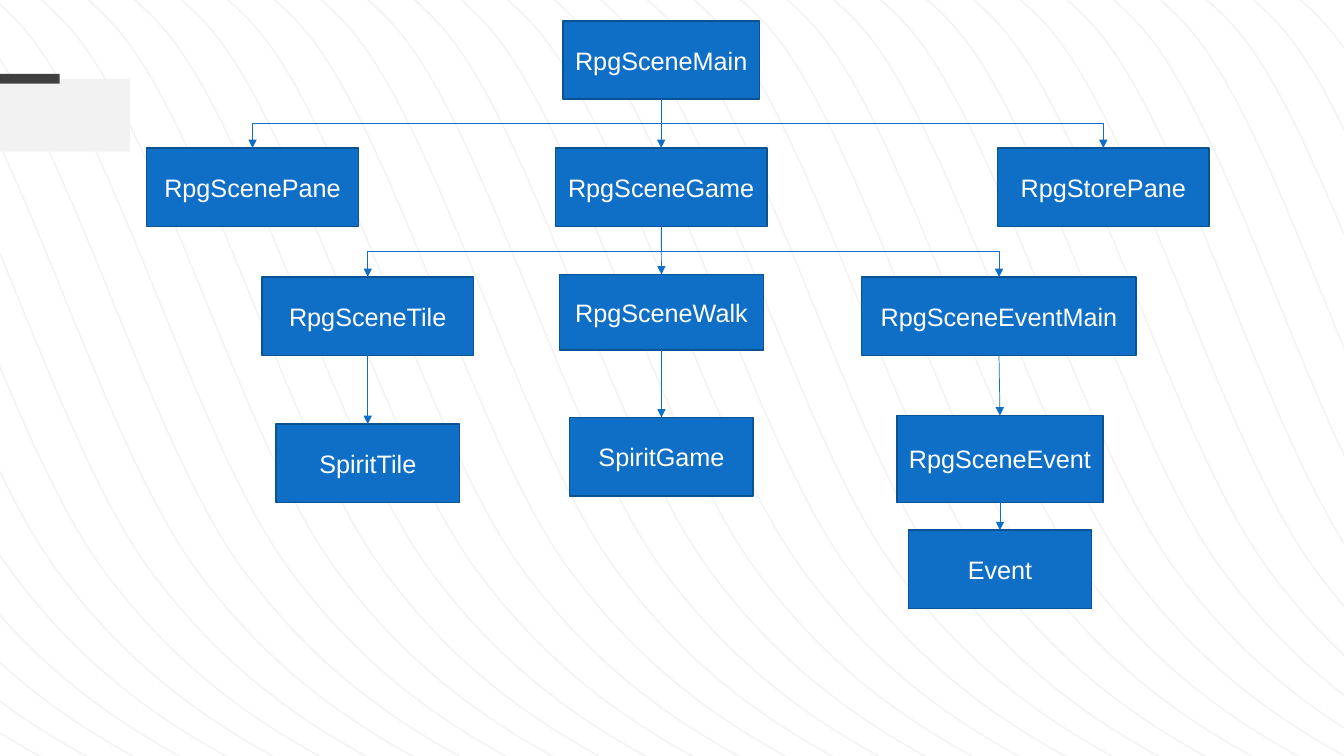
import pptx
import pptx.dml.color
import pptx.enum.shapes
import pptx.enum.text
import pptx.oxml.ns
import pptx.util
from lxml import etree

Pt = pptx.util.Pt
qn = pptx.oxml.ns.qn
RECTANGLE = pptx.enum.shapes.MSO_SHAPE.RECTANGLE
CONNECTOR = pptx.enum.shapes.MSO_CONNECTOR


def paint(color_format, hex_color):
    color_format.rgb = pptx.dml.color.RGBColor.from_string(hex_color)


def add_rectangle(left, top, width, height, fill):
    shape = slide.shapes.add_shape(RECTANGLE, Pt(left), Pt(top), Pt(width), Pt(height))
    shape.shadow.inherit = False
    shape.fill.solid()
    paint(shape.fill.fore_color, fill)
    shape.line.fill.background()
    return shape


presentation = pptx.Presentation()
presentation.slide_width = Pt(960)
presentation.slide_height = Pt(540)
slide = presentation.slides.add_slide(presentation.slide_layouts[6])
slide.background.fill.solid()
paint(slide.background.fill.fore_color, "FFFFFF")

# Background waves: one chain of Bezier curves, repeated at an equal step
wave = [(0, -19.4), (67, -36.7), (134, -54), (199.4, 17.3), (265, 88.6),
        (323.6, 315.4), (393, 408.2), (462, 501), (538.6, 538), (615, 574.6)]
for index in range(40):
    offset = -518.2 + 33.3 * index
    points = [(Pt(x + offset), Pt(y)) for x, y in wave]
    builder = slide.shapes.build_freeform(*points[0])
    builder.add_line_segments(points[1:], close=False)
    curve = builder.convert_to_shape()
    curve.shadow.inherit = False
    curve.fill.background()
    paint(curve.line.color, "F2F2F2")
    curve.line.width = Pt(1)
    # Every three line segments become one cubic Bezier segment
    outline = next(curve.element.iter(qn("a:path")))
    segments = outline.findall(qn("a:lnTo"))
    for first in range(0, len(segments), 3):
        bezier = etree.SubElement(outline, qn("a:cubicBezTo"))
        for segment in segments[first:first + 3]:
            bezier.append(segment[0])
            outline.remove(segment)

# Corner decoration
add_rectangle(-27.4, 56.3, 120.2, 52, "F2F2F2")
add_rectangle(0, 52.7, 42.6, 7, "404040")

# Class boxes: name, centre, top, width, height
classes = [
    ("RpgSceneMain", 472.3, 15, 140.5, 55.8),
    ("RpgSceneGame", 472.3, 105.7, 151.2, 56),
    ("RpgScenePane", 180.4, 105.7, 151.2, 56),
    ("RpgStorePane", 788.1, 105.7, 151.2, 56),
    ("RpgSceneTile", 262.7, 197.8, 151.2, 56),
    ("RpgSceneWalk", 472.5, 196, 146, 54),
    ("RpgSceneEventMain", 713.6, 197.8, 196, 56),
    ("SpiritTile", 262.7, 302.9, 131, 56),
    ("SpiritGame", 472.5, 298.2, 131, 56),
    ("RpgSceneEvent", 714.3, 296.8, 147, 62),
    ("Event", 714.3, 378.7, 131, 56),
]
boxes = {}
for name, center, top, width, height in classes:
    box = add_rectangle(center - width / 2, top, width, height, "0F6FC6")
    paint(box.line.color, "0B5292")
    box.line.width = Pt(1)
    text_frame = box.text_frame
    text_frame.text = name
    text_frame.word_wrap = True
    text_frame.vertical_anchor = pptx.enum.text.MSO_ANCHOR.MIDDLE
    paragraph = text_frame.paragraphs[0]
    paragraph.alignment = pptx.enum.text.PP_ALIGN.CENTER
    font = paragraph.runs[0].font
    font.name = "Arial"
    font.size = Pt(18)
    paint(font.color, "FFFFFF")
    boxes[name] = box

# Arrows from the bottom of each parent to the top of each child
children = {
    "RpgSceneMain": ["RpgSceneGame", "RpgScenePane", "RpgStorePane"],
    "RpgSceneGame": ["RpgSceneWalk", "RpgSceneTile", "RpgSceneEventMain"],
    "RpgSceneTile": ["SpiritTile"],
    "RpgSceneWalk": ["SpiritGame"],
    "RpgSceneEventMain": ["RpgSceneEvent"],
    "RpgSceneEvent": ["Event"],
}
for parent, names in children.items():
    for name in names:
        connector = slide.shapes.add_connector(CONNECTOR.STRAIGHT, 0, 0, 0, 0)
        connector.begin_connect(boxes[parent], 2)
        connector.end_connect(boxes[name], 0)
        shift = connector.end_x - connector.begin_x
        properties = connector.element.spPr
        if abs(shift) > Pt(5):
            # An elbow that leaves downwards is a turned horizontal elbow
            properties.find(qn("a:prstGeom")).set("prst", "bentConnector3")
            width, height = connector.width, connector.height
            connector.left += (width - height) // 2
            connector.top += (height - width) // 2
            connector.width, connector.height = height, width
            transform = properties.find(qn("a:xfrm"))
            transform.set("rot", str((270 if shift > 0 else 90) * 60000))
            transform.set("flipH", "1" if shift > 0 else "0")
        paint(connector.line.color, "0F6FC6")
        connector.line.width = Pt(0.5)
        etree.SubElement(properties.find(qn("a:ln")), qn("a:tailEnd"), type="triangle")
        etree.SubElement(properties, qn("a:effectLst"))

presentation.save("out.pptx")
